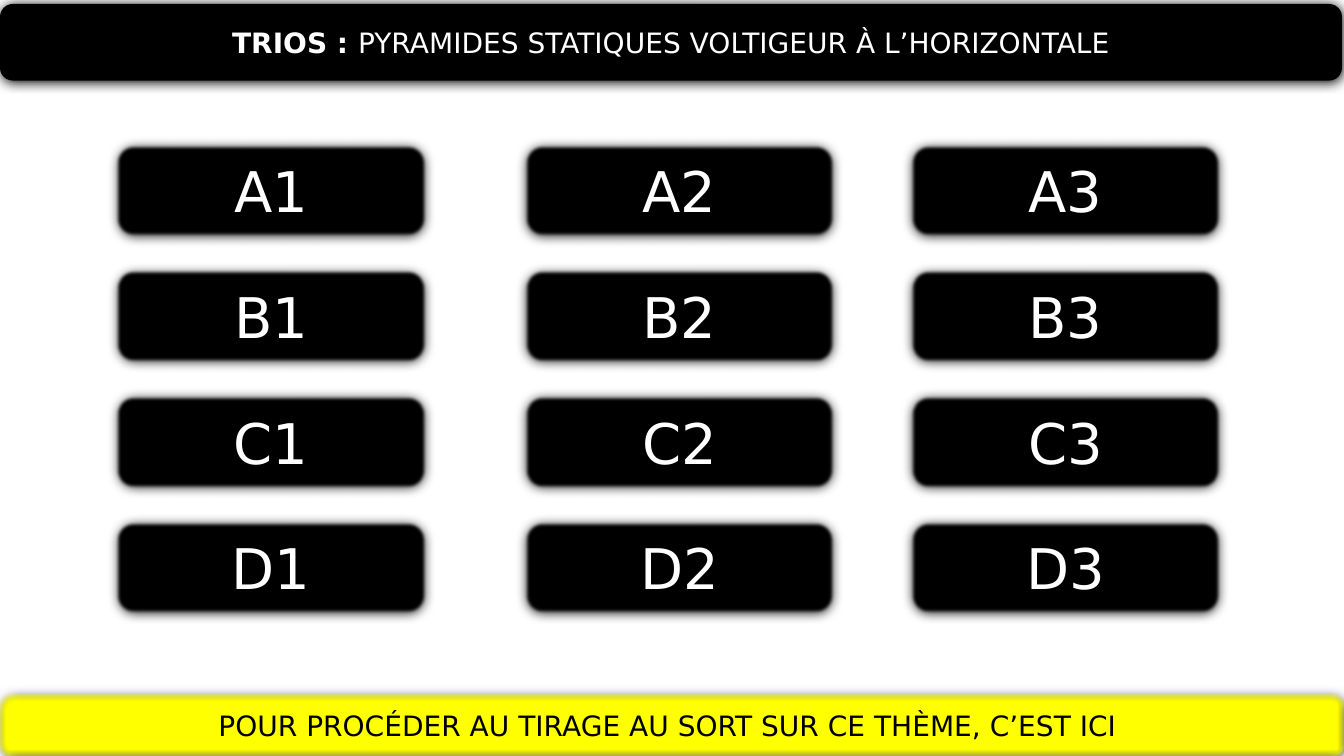
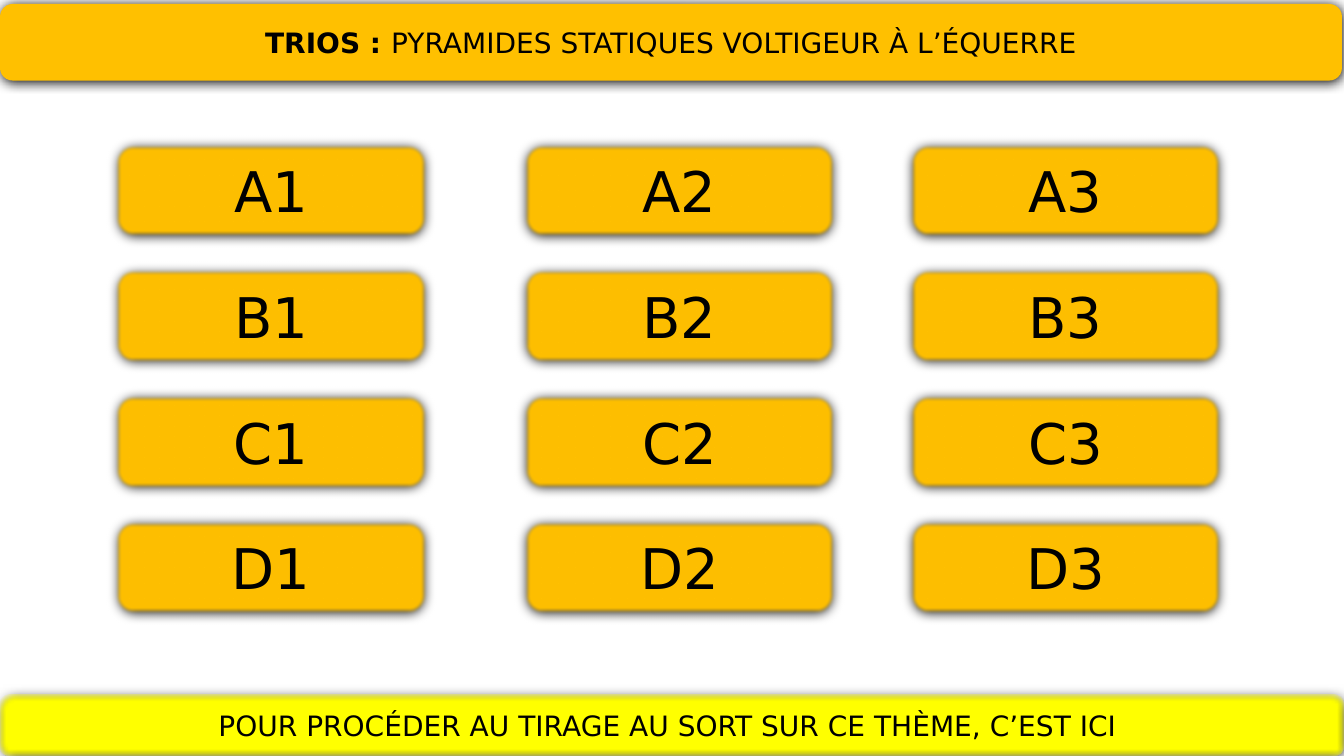
from dataclasses import dataclass

from lxml import etree
from pptx import Presentation, util as u
from pptx.dml.color import RGBColor
from pptx.enum import shapes, text
from pptx.oxml import ns

BLACK = RGBColor(0x00, 0x00, 0x00)
WHITE = RGBColor(0xFF, 0xFF, 0xFF)
AMBER = RGBColor(0xFF, 0xC0, 0x00)
YELLOW = RGBColor(0xFF, 0xFF, 0x00)

FONT = "DejaVu Sans"
BAND_SIZE = 20
BUTTON_SIZE = 40
SHADOW_BLUR = u.Pt(8.5)
SHADOW_OFFSET = u.Pt(1)
SOFT_EDGE = u.Pt(2.5)

SLIDE_W = u.Inches(13.33)
SLIDE_H = u.Inches(7.5)
TITLE_ONLY = 5


@dataclass(frozen=True)
class Box:
    """Place and size in percent of the slide."""

    left: float
    top: float
    width: float
    height: float

    def emu(self) -> tuple[int, int, int, int]:
        return (
            round(SLIDE_W * self.left / 100),
            round(SLIDE_H * self.top / 100),
            round(SLIDE_W * self.width / 100),
            round(SLIDE_H * self.height / 100),
        )


@dataclass(frozen=True)
class Theme:
    heading: str
    fill: RGBColor
    ink: RGBColor


HEADER = Box(0, 0.53, 99.85, 10.13)
FOOTER = Box(0, 91.87, 100, 8.13)
BUTTON_W, BUTTON_H = 23.1, 12.27
COLUMN_LEFTS = (8.63, 39, 67.73)
ROW_NAMES = "ABCD"
FIRST_ROW, LAST_ROW = 19.07, 68.93
ROW_PITCH = (LAST_ROW - FIRST_ROW) / (len(ROW_NAMES) - 1)

GROUP = "TRIOS : "
DRAW_LABEL = "POUR PROCÉDER AU TIRAGE AU SORT SUR CE THÈME, C’EST ICI "
THEMES = (
    Theme("PYRAMIDES STATIQUES VOLTIGEUR À L’HORIZONTALE", BLACK, WHITE),
    Theme("PYRAMIDES STATIQUES VOLTIGEUR À L’ÉQUERRE", AMBER, BLACK),
)


def add_effects(sp, soft: bool) -> None:
    sp.shadow.inherit = False
    effects = sp._element.spPr.find(ns.qn("a:effectLst"))
    shadow = etree.SubElement(
        effects, ns.qn("a:outerShdw"), blurRad=str(SHADOW_BLUR),
        dist=str(SHADOW_OFFSET), dir="5400000", rotWithShape="0",
    )
    etree.SubElement(shadow, ns.qn("a:srgbClr"), val=str(BLACK))
    if soft:
        etree.SubElement(effects, ns.qn("a:softEdge"), rad=str(SOFT_EDGE))


def add_bar(s, box: Box, fill: RGBColor, soft: bool = True):
    sp = s.shapes.add_shape(shapes.MSO_SHAPE.ROUNDED_RECTANGLE, *box.emu())
    sp.fill.solid()
    sp.fill.fore_color.rgb = fill
    sp.line.fill.background()
    add_effects(sp, soft)
    return sp


def write(sp, parts: tuple[tuple[str, bool], ...], size: int, ink: RGBColor) -> None:
    tf = sp.text_frame
    tf.word_wrap = True
    tf.auto_size = text.MSO_AUTO_SIZE.NONE
    tf.vertical_anchor = text.MSO_ANCHOR.MIDDLE
    p = tf.paragraphs[0]
    p.alignment = text.PP_ALIGN.CENTER
    p.font.name = FONT
    p.font.size = u.Pt(size)
    p.font.color.rgb = ink
    for words, bold in parts:
        r = p.add_run()
        r.text = words
        r.font.bold = bold


def add_title(s, theme: Theme) -> None:
    add_bar(s, HEADER, theme.fill, soft=False)
    title = s.shapes.title
    title.left, title.top, title.width, title.height = HEADER.emu()
    write(title, ((GROUP, True), (theme.heading, False)), BAND_SIZE, theme.ink)
    s.shapes._spTree.append(title._element)


def add_buttons(s, theme: Theme) -> None:
    for row, name in enumerate(ROW_NAMES):
        for number, left in enumerate(COLUMN_LEFTS, start=1):
            box = Box(left, FIRST_ROW + row * ROW_PITCH, BUTTON_W, BUTTON_H)
            sp = add_bar(s, box, theme.fill)
            write(sp, ((f"{name}{number}", False),), BUTTON_SIZE, theme.ink)


def add_theme_slide(prs, theme: Theme) -> None:
    s = prs.slides.add_slide(prs.slide_layouts[TITLE_ONLY])
    add_title(s, theme)
    add_buttons(s, theme)
    write(add_bar(s, FOOTER, YELLOW), ((DRAW_LABEL, False),), BAND_SIZE, BLACK)


def main() -> None:
    prs = Presentation()
    prs.slide_width, prs.slide_height = SLIDE_W, SLIDE_H
    for theme in THEMES:
        add_theme_slide(prs, theme)
    prs.save("out.pptx")


if __name__ == "__main__":
    main()
